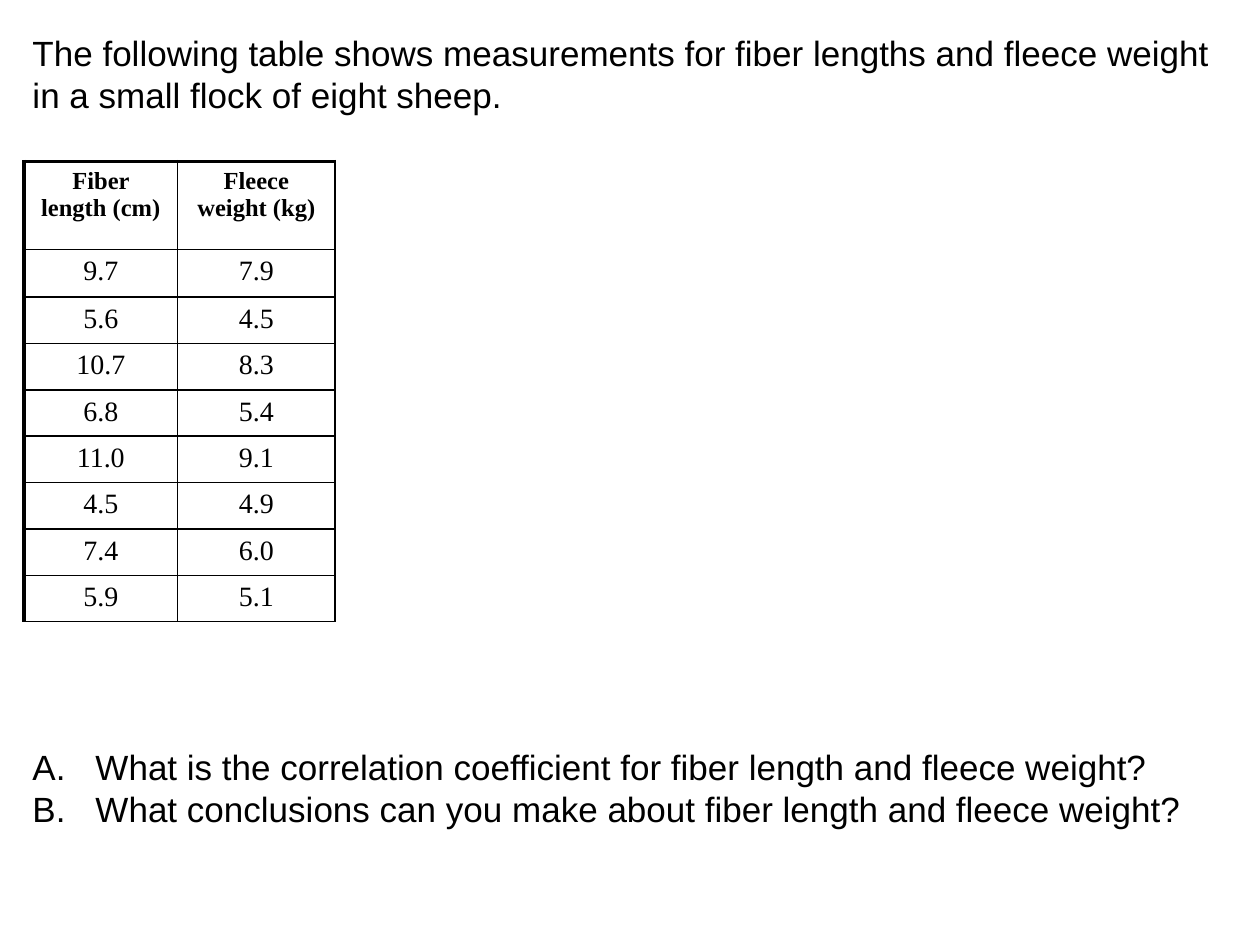
from lxml.etree import SubElement
from pptx import Presentation
from pptx.dml.color import RGBColor
from pptx.enum.text import MSO_AUTO_SIZE, PP_ALIGN
from pptx.oxml.ns import qn
from pptx.util import Emu, Inches, Pt

BLACK, WHITE = "000000", "FFFFFF"
INTRO = ("The following table shows measurements for fiber lengths "
         "and fleece weight in a small flock of eight sheep.")
QUESTIONS = [
    "What is the correlation coefficient for fiber length and fleece weight?",
    "What conclusions can you make about fiber length and fleece weight?",
]
HEADINGS = ["Fiber length (cm)", "Fleece weight (kg)"]
SHEEP = [("9.7", "7.9"), ("5.6", "4.5"), ("10.7", "8.3"), ("6.8", "5.4"),
         ("11.0", "9.1"), ("4.5", "4.9"), ("7.4", "6.0"), ("5.9", "5.1")]
COLUMNS = [1.22, 1.25]
ROWS = [0.7, 0.38] + [0.37] * 7
QUESTION_GAP = 360


def color(value):
    return RGBColor.from_string(value)


def write(paragraph, text, size=20, font="Arial", bold=False,
          align=PP_ALIGN.LEFT, before=0):
    paragraph.alignment = align
    paragraph.space_before = Pt(before)
    run = paragraph.add_run()
    run.text = text
    run.font.size, run.font.name, run.font.bold = Pt(size), font, bold
    run.font.color.rgb = color(BLACK)


def number_by_letter(paragraph):
    props = paragraph._p.get_or_add_pPr()
    props.set("marL", str(Inches(0.5)))
    props.set("indent", str(-Inches(0.5)))
    SubElement(props, qn("a:buFont"), typeface="+mj-lt")
    SubElement(props, qn("a:buAutoNum"), type="alphaUcPeriod")


def add_problem(slide, box):
    frame = slide.shapes.add_textbox(*box).text_frame
    frame.word_wrap = True
    frame.auto_size = MSO_AUTO_SIZE.SHAPE_TO_FIT_TEXT
    write(frame.paragraphs[0], INTRO)
    # The gap above the first question leaves room for the table
    for index, question in enumerate(QUESTIONS):
        paragraph = frame.add_paragraph()
        write(paragraph, question, before=0 if index else QUESTION_GAP)
        number_by_letter(paragraph)


def set_borders(cell, widths):
    props = cell._tc.get_or_add_tcPr()
    for position, (side, width) in enumerate(widths.items()):
        line = props.makeelement(qn(f"a:ln{side}"), {"w": str(Pt(width))})
        fill = SubElement(line, qn("a:solidFill"))
        SubElement(fill, qn("a:srgbClr"), val=BLACK)
        props.insert(position, line)


def add_measurements(slide, box):
    table = slide.shapes.add_table(len(ROWS), len(COLUMNS), *box).table
    width, height = box[2:]
    for column, share in zip(table.columns, COLUMNS):
        column.width = Emu(int(width * share / sum(COLUMNS)))
    for row, share in zip(table.rows, ROWS):
        row.height = Emu(int(height * share / sum(ROWS)))

    for r, values in enumerate([HEADINGS, *SHEEP]):
        heading = r == 0
        for c, value in enumerate(values):
            cell = table.cell(r, c)
            cell.fill.background()
            write(cell.text_frame.paragraphs[0], value,
                  size=14 if heading else 16, font="Times New Roman",
                  bold=heading, align=PP_ALIGN.CENTER)
            # Heavy rule on the left and top edges only
            set_borders(cell, {"L": 1 if c else 2.25, "R": 1,
                               "T": 2.25 if heading else 1, "B": 1})


def main():
    deck = Presentation()
    deck.slide_width, deck.slide_height = Inches(10), Inches(7.5)
    slide = deck.slides.add_slide(deck.slide_layouts[6])
    slide.background.fill.solid()
    slide.background.fill.fore_color.rgb = color(WHITE)

    def area(left, top, width, height):
        return [Emu(int(share * side)) for share, side in
                zip((left, top, width, height),
                    (deck.slide_width, deck.slide_height) * 2)]

    add_problem(slide, area(0.016, 0.027, 0.957, 0.867))
    add_measurements(slide, area(0.019, 0.171, 0.247, 0.487))
    deck.save("out.pptx")


if __name__ == "__main__":
    main()
